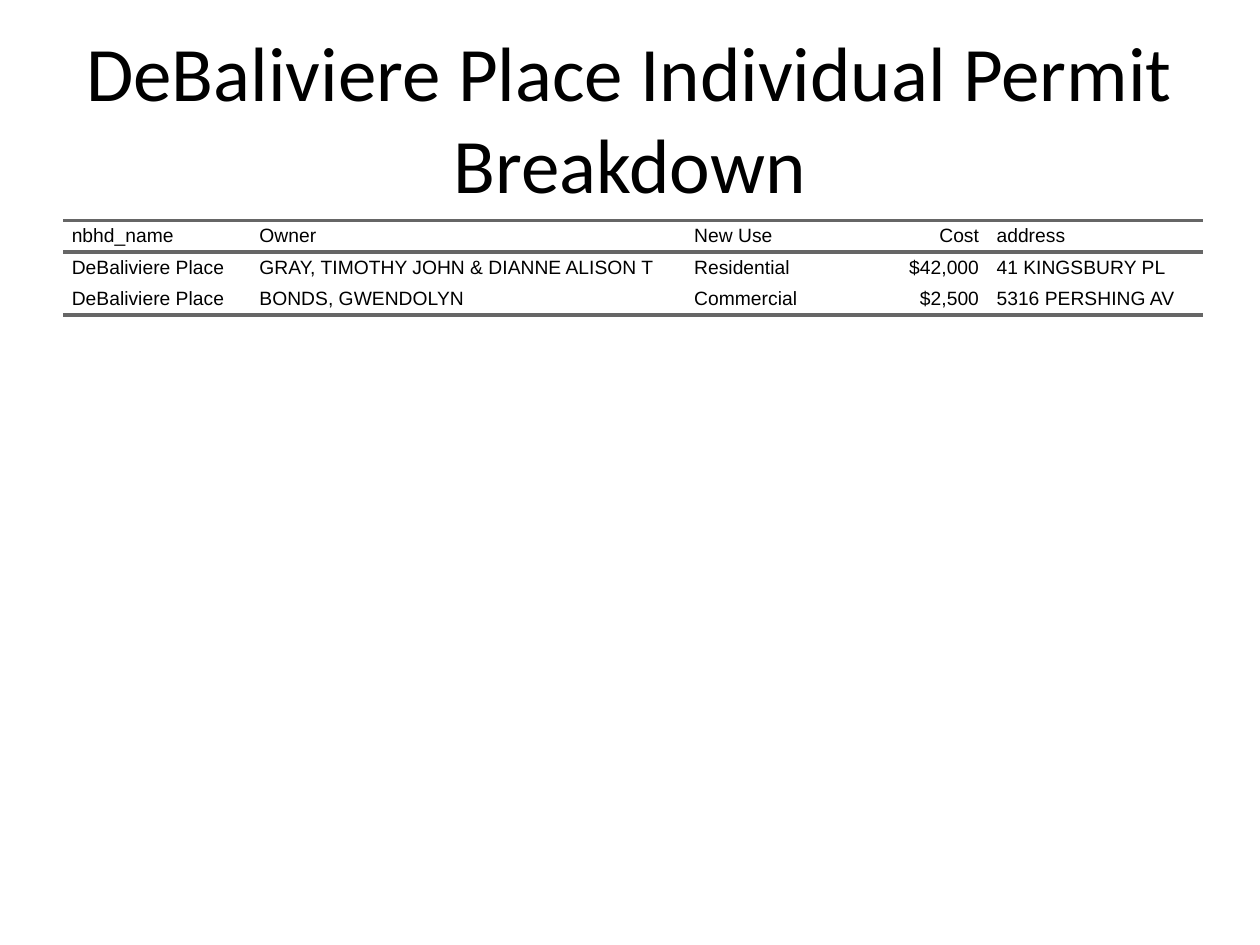
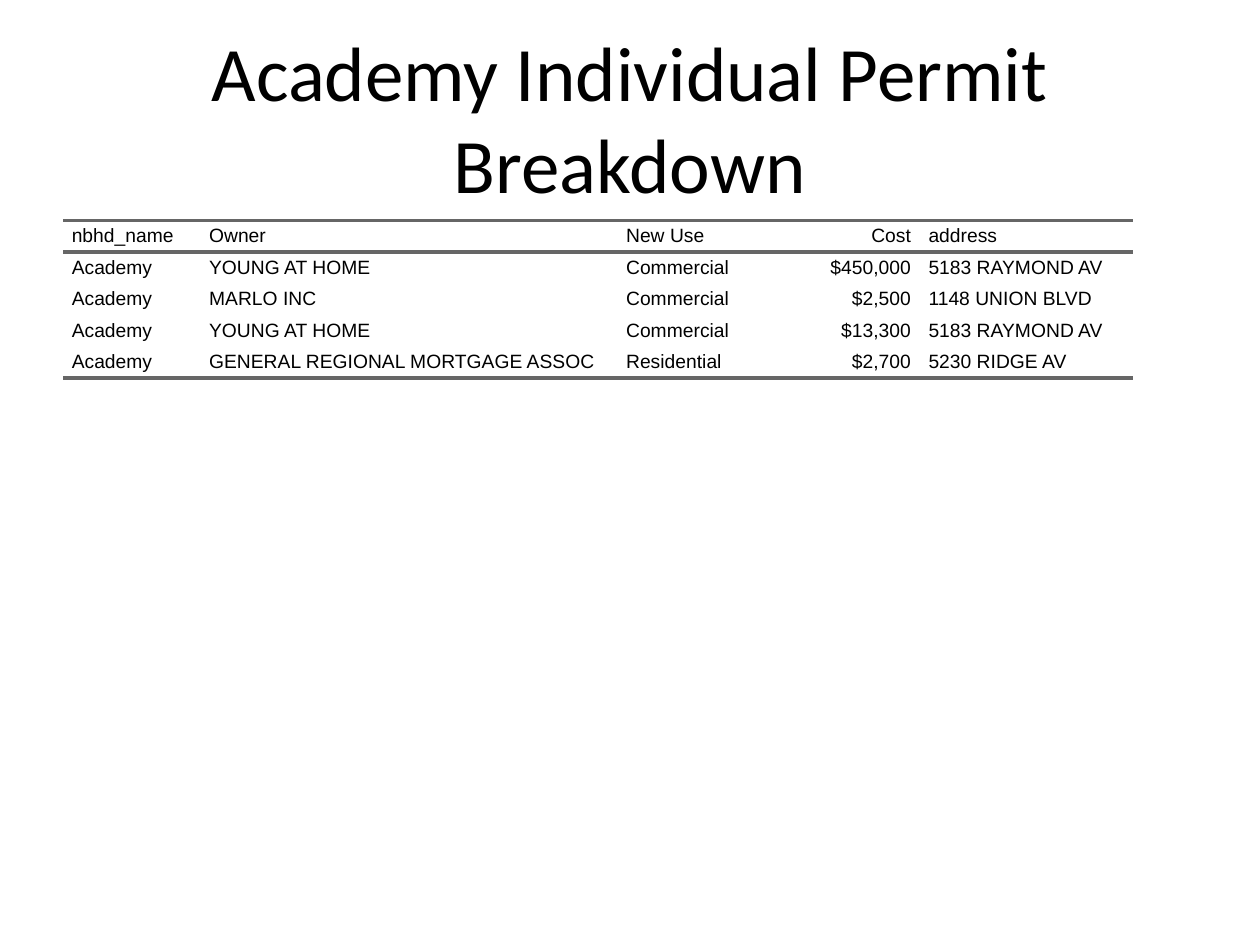
from lxml import etree
from pptx import Presentation
from pptx.dml.color import RGBColor
from pptx.enum.text import MSO_ANCHOR, PP_ALIGN
from pptx.oxml.ns import qn
from pptx.util import Inches, Pt

BLACK = RGBColor(0x00, 0x00, 0x00)
WHITE = RGBColor(0xFF, 0xFF, 0xFF)
RULE_GREY = RGBColor(0x66, 0x66, 0x66)
CENTER, RIGHT, LEFT = PP_ALIGN.CENTER, PP_ALIGN.RIGHT, PP_ALIGN.LEFT
MIDDLE = MSO_ANCHOR.MIDDLE

TITLE_ONLY = 5
SLIDE_WIDTH, SLIDE_HEIGHT = Inches(10), Inches(7.5)
MARGIN = int(SLIDE_WIDTH * 0.05)
CONTENT_WIDTH = SLIDE_WIDTH - 2 * MARGIN
TITLE_TOP, TITLE_HEIGHT = int(SLIDE_HEIGHT * 0.04), Inches(1.25)
TABLE_TOP = Inches(1.75)
ROW_HEIGHT = Inches(0.25)
CELL_PADDING = Inches(0.07)
RULE_WIDTH = Pt(2)
NO_GRID_STYLE = "{2D5ABB26-0587-4C30-8999-92F81FD0307C}"

HEADERS = ["nbhd_name", "Owner", "New Use", "Cost", "address"]
COST_COLUMN = HEADERS.index("Cost")
USE_WIDTH, COST_WIDTH = 1.1, 1.3

# Each neighborhood: name, widths of name, owner and address columns, permits
NEIGHBORHOODS = [
    ("DeBaliviere Place", (1.49, 3.45, 1.71), [
        ("GRAY, TIMOTHY JOHN & DIANNE ALISON T", "Residential", "$42,000", "41 KINGSBURY PL"),
        ("BONDS, GWENDOLYN", "Commercial", "$2,500", "5316 PERSHING AV"),
    ]),
    ("Academy", (1.09, 3.31, 1.69), [
        ("YOUNG AT HOME", "Commercial", "$450,000", "5183 RAYMOND AV"),
        ("MARLO INC", "Commercial", "$2,500", "1148 UNION BLVD"),
        ("YOUNG AT HOME", "Commercial", "$13,300", "5183 RAYMOND AV"),
        ("GENERAL REGIONAL MORTGAGE ASSOC", "Residential", "$2,700", "5230 RIDGE AV"),
    ]),
]


def style_font(font, name, size):
    font.name, font.size, font.bold = name, Pt(size), False
    font.color.rgb = BLACK


def set_title(slide, text):
    title = slide.shapes.title
    title.left, title.top = MARGIN, TITLE_TOP
    title.width, title.height = CONTENT_WIDTH, TITLE_HEIGHT
    frame = title.text_frame
    frame.text = text
    frame.word_wrap = True
    frame.vertical_anchor = MIDDLE
    para = frame.paragraphs[0]
    para.alignment = CENTER
    style_font(para.runs[0].font, "Calibri", 44)


def add_rule(cell, side):
    """Draw a grey border on one side of a cell: "T" or "B"."""
    line = etree.SubElement(cell._tc.get_or_add_tcPr(), qn(f"a:ln{side}"), w=str(RULE_WIDTH))
    fill = etree.SubElement(line, qn("a:solidFill"))
    etree.SubElement(fill, qn("a:srgbClr"), val=str(RULE_GREY))


def fill_cell(cell, text, alignment, ruled_sides):
    for side in ruled_sides:
        add_rule(cell, side)
    cell.fill.background()
    cell.vertical_anchor = MIDDLE
    cell.margin_left = cell.margin_right = CELL_PADDING
    cell.margin_top = cell.margin_bottom = 0
    cell.text = text
    para = cell.text_frame.paragraphs[0]
    para.alignment = alignment
    style_font(para.runs[0].font, "Arial", 11)


def add_permit_table(slide, rows, column_widths):
    widths = [Inches(width) for width in column_widths]
    table = slide.shapes.add_table(
        len(rows), len(widths), MARGIN, TABLE_TOP, sum(widths), ROW_HEIGHT * len(rows)
    ).table
    table.first_row = table.horz_banding = False
    table._tbl.tblPr.find(qn("a:tableStyleId")).text = NO_GRID_STYLE
    for column, width in zip(table.columns, widths):
        column.width = width

    ruled_sides = {0: "TB", len(rows) - 1: "B"}
    for row_index, values in enumerate(rows):
        for column_index, value in enumerate(values):
            alignment = RIGHT if column_index == COST_COLUMN else LEFT
            fill_cell(table.cell(row_index, column_index), value, alignment,
                      ruled_sides.get(row_index, ""))


def add_neighborhood_slide(deck, name, widths, permits):
    slide = deck.slides.add_slide(deck.slide_layouts[TITLE_ONLY])
    set_title(slide, f"{name} Individual Permit Breakdown")
    name_width, owner_width, address_width = widths
    rows = [HEADERS] + [(name, *permit) for permit in permits]
    add_permit_table(slide, rows,
                     [name_width, owner_width, USE_WIDTH, COST_WIDTH, address_width])


def main():
    deck = Presentation()
    deck.slide_width, deck.slide_height = SLIDE_WIDTH, SLIDE_HEIGHT
    background = deck.slide_master.background.fill
    background.solid()
    background.fore_color.rgb = WHITE
    for name, widths, permits in NEIGHBORHOODS:
        add_neighborhood_slide(deck, name, widths, permits)
    deck.save("out.pptx")


if __name__ == "__main__":
    main()
